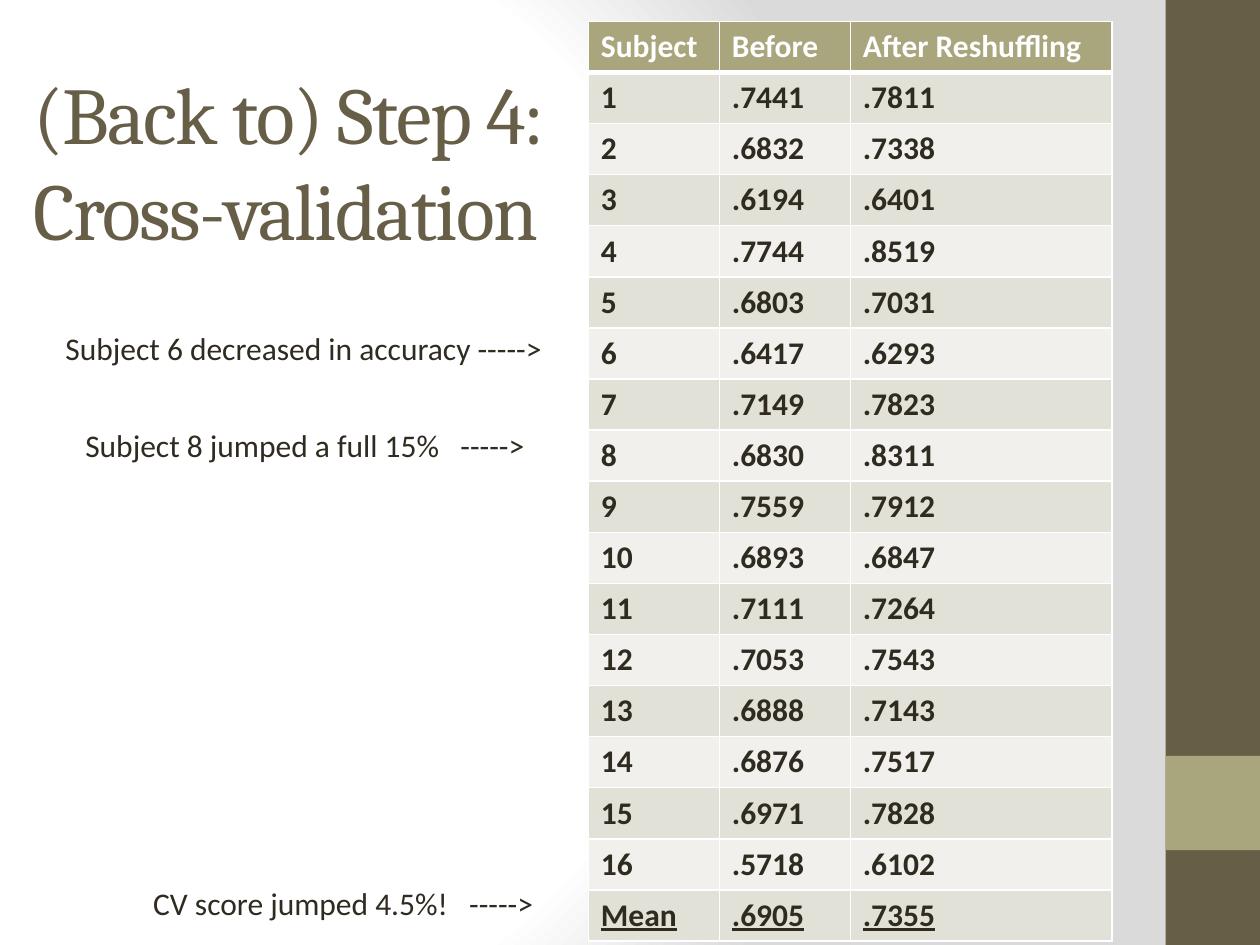
from dataclasses import dataclass

from pptx import Presentation
from pptx import oxml
from pptx.dml import color
from pptx.enum import shapes, text
from pptx.oxml import ns
from pptx.util import Cm, Pt


@dataclass(frozen=True)
class Theme:
    dark: str = "675E47"
    accent: str = "A9A57C"
    ink: str = "2F2B20"
    white: str = "FFFFFF"
    shade: str = "DADADA"
    bands: tuple = ("E2E1D7", "F1F0EC")
    title_font: str = "Cambria"
    body_font: str = "Calibri"
    title_size: int = 46
    body_size: int = 18


@dataclass(frozen=True)
class Box:
    left: float
    top: float
    width: float
    height: float

    def lengths(self) -> tuple:
        return Cm(self.left), Cm(self.top), Cm(self.width), Cm(self.height)


@dataclass(frozen=True)
class Bar:
    box: Box
    fill: str


@dataclass(frozen=True)
class Note:
    box: Box
    words: str


@dataclass(frozen=True)
class ScoreTable:
    left: float
    widths: tuple
    rows: list


THEME = Theme()
ROW_HEIGHT = 1.02
TABLE_TOP = 0.43
TITLE_BOX = Box(0.43, 0.76, 11.43, 4.95)

BARS = (
    Bar(Box(23.5, 0, 1.9, 19.05), THEME.dark),
    Bar(Box(23.5, 15.24, 1.9, 1.9), THEME.accent),
)
NOTES = (
    Note(Box(1.07, 6.5, 10.16, 1.02), "Subject 6 decreased in accuracy ----->"),
    Note(Box(1.47, 8.46, 10.16, 1.02), "Subject 8 jumped a full 15%   ----->"),
    Note(Box(2.84, 17.7, 8.46, 1.02), "CV score jumped 4.5%!   ----->"),
)
BEFORE = (".7441 .6832 .6194 .7744 .6803 .6417 .7149 .6830 .7559 "
          ".6893 .7111 .7053 .6888 .6876 .6971 .5718 .6905").split()
AFTER = (".7811 .7338 .6401 .8519 .7031 .6293 .7823 .8311 .7912 "
         ".6847 .7264 .7543 .7143 .7517 .7828 .6102 .7355").split()
SUBJECTS = [str(n) for n in range(1, len(BEFORE))] + ["Mean"]
TABLES = (
    ScoreTable(11.86, (2.64, 2.64), [("Subject", "Before"), *zip(SUBJECTS, BEFORE)]),
    ScoreTable(17.14, (5.28,), [("After Reshuffling",), *zip(AFTER)]),
)


def rgb(value: str) -> color.RGBColor:
    return color.RGBColor.from_string(value)


def write(tf, words: str, ink: str, **extra) -> None:
    p = tf.paragraphs[0]
    p.alignment = text.PP_ALIGN.LEFT
    r = p.add_run()
    r.text = words
    r.font.color.rgb = rgb(ink)
    values = {"name": THEME.body_font, "size": Pt(THEME.body_size), **extra}
    for name, value in values.items():
        setattr(r.font, name, value)


def paint_background(s) -> None:
    stops = ((0, THEME.white), (75, THEME.white), (100, THEME.shade))
    gs = "".join(f'<a:gs pos="{pos * 1000}"><a:srgbClr val="{c}"/></a:gs>' for pos, c in stops)
    s.element.cSld.insert(0, oxml.parse_xml(
        f'<p:bg {ns.nsdecls("p", "a")}><p:bgPr><a:gradFill rotWithShape="1">'
        f'<a:gsLst>{gs}</a:gsLst><a:path path="circle">'
        '<a:fillToRect l="20000" t="50000" r="100000" b="50000"/></a:path>'
        '</a:gradFill><a:effectLst/></p:bgPr></p:bg>'))


def draw_bar(s, bar: Bar) -> None:
    sp = s.shapes.add_shape(shapes.MSO_SHAPE.RECTANGLE, *bar.box.lengths())
    sp.shadow.inherit = False
    sp.fill.solid()
    sp.fill.fore_color.rgb = rgb(bar.fill)
    sp.line.fill.background()


def draw_title(s, words: str) -> None:
    sp = s.shapes.title
    sp.left, sp.top, sp.width, sp.height = TITLE_BOX.lengths()
    tf = sp.text_frame
    frame = {"word_wrap": True, "auto_size": text.MSO_AUTO_SIZE.NONE,
             "vertical_anchor": text.MSO_ANCHOR.MIDDLE}
    for name, value in frame.items():
        setattr(tf, name, value)
    write(tf, words, THEME.dark, name=THEME.title_font, size=Pt(THEME.title_size))
    tf.paragraphs[0].runs[0].font._element.set("spc", "-100")


def draw_note(s, note: Note) -> None:
    tf = s.shapes.add_textbox(*note.box.lengths()).text_frame
    tf.word_wrap = True
    tf.auto_size = text.MSO_AUTO_SIZE.SHAPE_TO_FIT_TEXT
    write(tf, note.words, THEME.ink)


def set_borders(cell, row: int) -> None:
    widths = {"L": 1, "R": 1, "T": 3 if row == 1 else 1, "B": 3 if row == 0 else 1}
    tcPr = cell._tc.get_or_add_tcPr()
    for side, width in widths.items():
        tcPr.append(oxml.parse_xml(
            f'<a:ln{side} {ns.nsdecls("a")} w="{Pt(width)}"><a:solidFill>'
            f'<a:srgbClr val="{THEME.white}"/></a:solidFill></a:ln{side}>'))


def draw_table(s, scores: ScoreTable) -> None:
    count = len(scores.rows)
    box = Box(scores.left, TABLE_TOP, sum(scores.widths), ROW_HEIGHT * count)
    table = s.shapes.add_table(count, len(scores.widths), *box.lengths()).table
    table.horz_banding = False
    for column, width in zip(table.columns, scores.widths):
        column.width = Cm(width)
    for i, values in enumerate(scores.rows):
        table.rows[i].height = Cm(ROW_HEIGHT)
        fill = THEME.bands[(i - 1) % 2] if i else THEME.accent
        ink = THEME.ink if i else THEME.white
        for j, value in enumerate(values):
            cell = table.cell(i, j)
            set_borders(cell, i)
            cell.fill.solid()
            cell.fill.fore_color.rgb = rgb(fill)
            write(cell.text_frame, value, ink, bold=True, underline=i == count - 1)


def main() -> None:
    prs = Presentation()
    prs.slide_width, prs.slide_height = Cm(25.4), Cm(19.05)
    s = prs.slides.add_slide(prs.slide_layouts[5])
    paint_background(s)
    for bar in BARS:
        draw_bar(s, bar)
    draw_title(s, "(Back to) Step 4: Cross-validation")
    for scores in TABLES:
        draw_table(s, scores)
    for note in NOTES:
        draw_note(s, note)
    prs.save("out.pptx")


if __name__ == "__main__":
    main()
